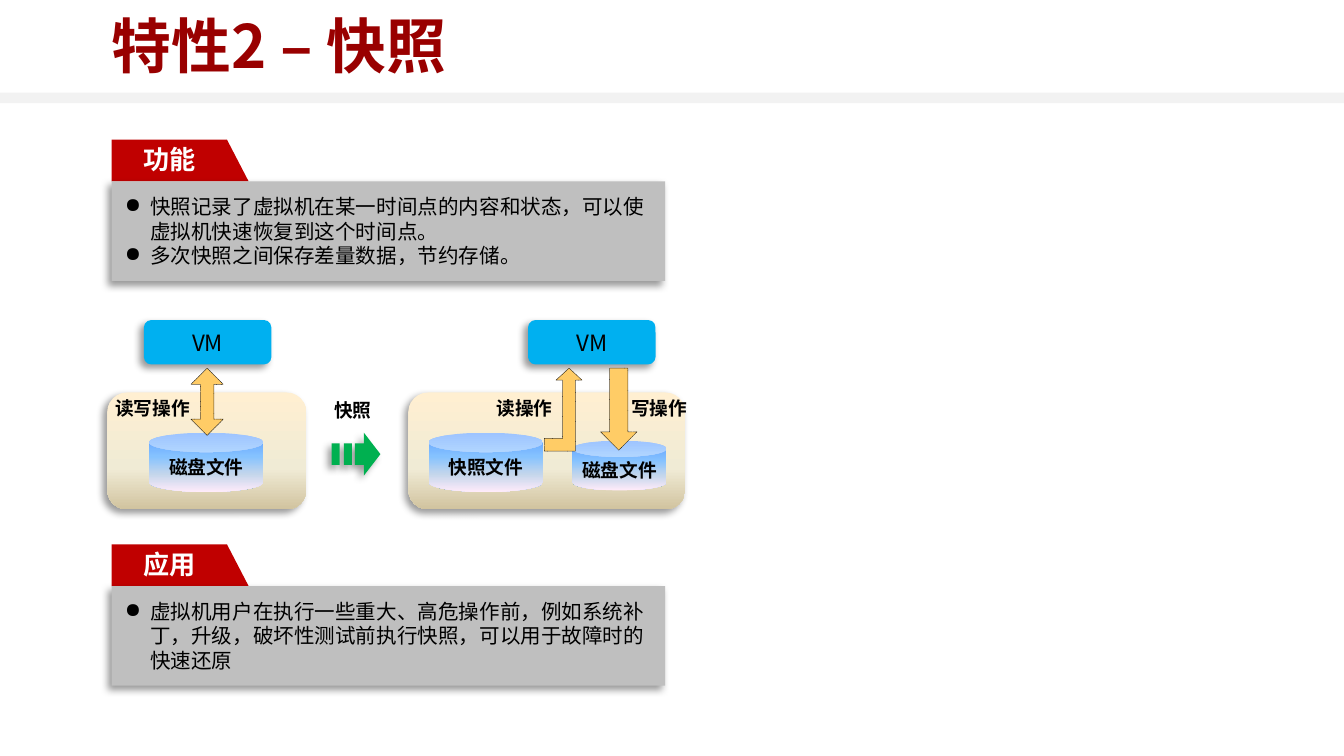
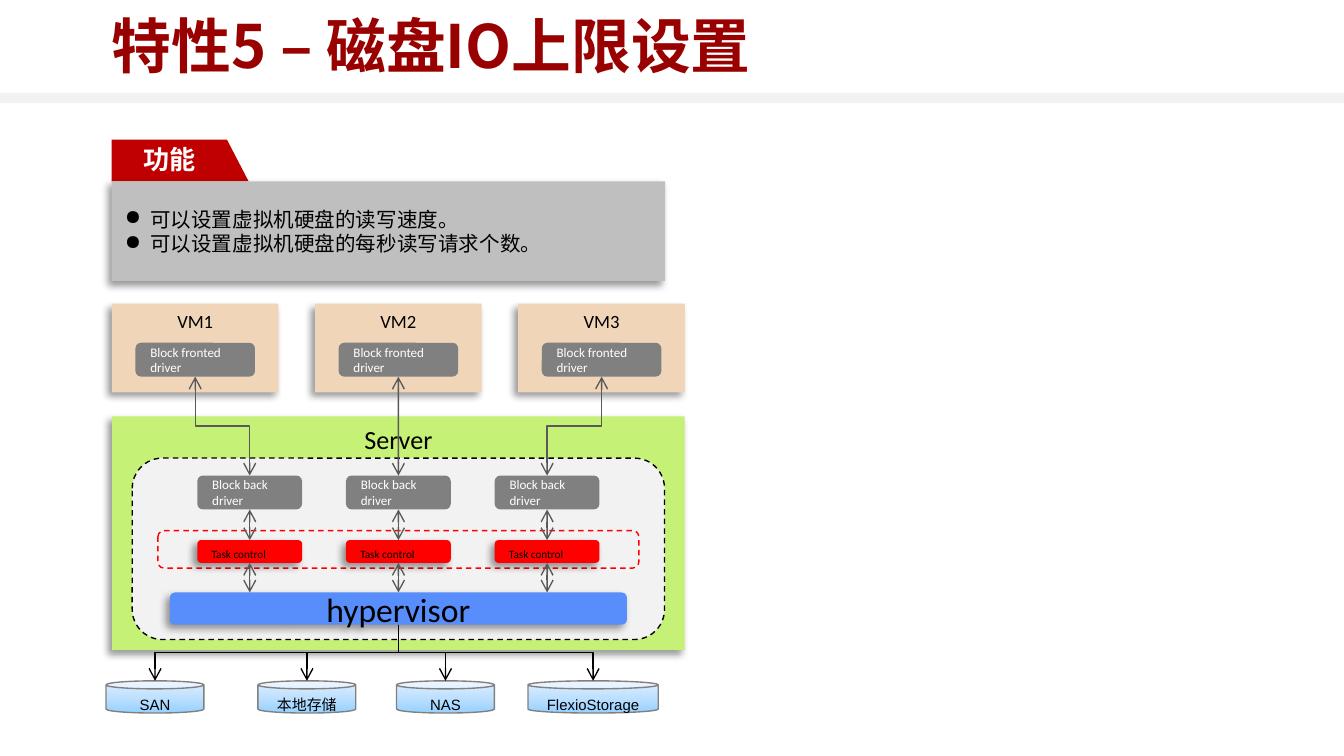
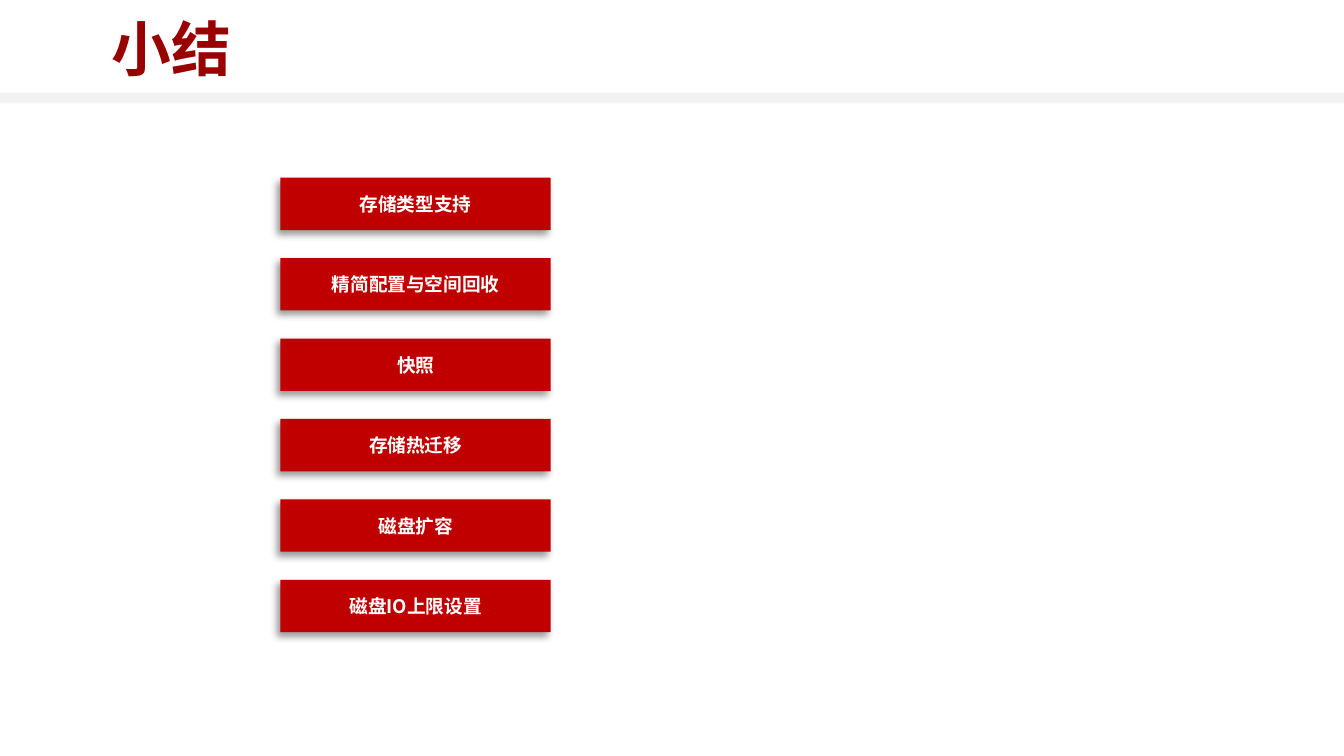
from dataclasses import dataclass

from lxml import etree
from pptx import Presentation
from pptx import util as u
from pptx.dml.color import RGBColor
from pptx.enum import dml, shapes, text
from pptx.oxml.ns import qn

Cm, Pt = u.Cm, u.Pt
KIND = shapes.MSO_SHAPE
TOP, MIDDLE, BOTTOM = text.MSO_ANCHOR.TOP, text.MSO_ANCHOR.MIDDLE, text.MSO_ANCHOR.BOTTOM
LEFT, CENTER = text.PP_ALIGN.LEFT, text.PP_ALIGN.CENTER
DASH, DOT = dml.MSO_LINE.DASH, dml.MSO_LINE.ROUND_DOT


@dataclass(frozen=True)
class Theme:
    # Fonts
    cjk: str = "Noto Sans CJK SC"
    latin: str = "Calibri"
    plain: str = "Arial"
    # Type sizes
    title_pt: int = 32
    heading_pt: int = 14
    body_pt: int = 11
    vm_pt: int = 12
    label_pt: int = 10
    hypervisor_pt: int = 18
    storage_pt: int = 8
    driver_pt: int = 7
    task_pt: int = 6
    # Colours
    black: str = "000000"
    white: str = "FFFFFF"
    title: str = "990000"
    red: str = "C00000"
    panel: str = "BFBFBF"
    light: str = "F2F2F2"
    vm: str = "00B0F0"
    flow: str = "FFCC66"
    step: str = "00B050"
    guest: str = "F1D5B9"
    server: str = "C5F177"
    driver: str = "808080"
    task: str = "FF0000"
    hypervisor: str = "578EFB"
    arrow: str = "595959"
    # Gradients: clockwise angle, then (position, colour) stops
    host: tuple = (90, (0, "FFEFD1"), (65, "F0EBD5"), (100, "D1C39F"))
    disk: tuple = (90, (0, "5E9EFF"), (40, "85C2FF"), (70, "C4D6EB"), (100, "FFEBFA"))
    storage: tuple = (270, (0, "96D0FF"), (50, "BFE1FF"), (100, "E0EFFF"))


T = Theme()
MARGIN = 2.11    # left edge of the content, cm
CENTRE = 7.53    # axis of the server diagram, cm


def rgb(value):
    return RGBColor.from_string(value)


def add_xml(parent, tag, **attrs):
    return etree.SubElement(parent, qn(tag), {k: str(v) for k, v in attrs.items()})


# ---- Text ----
def add_run(p, content, size, color=T.black, font=T.cjk, bold=False):
    r = p.add_run()
    r.text = content
    r.font.size, r.font.bold, r.font.name = Pt(size), bold, font
    r.font.color.rgb = rgb(color)
    add_xml(r._r.get_or_add_rPr(), "a:ea", typeface=T.cjk)


def write(sp, lines, size, align=CENTER, anchor=MIDDLE, **style):
    tf = sp.text_frame
    tf.word_wrap, tf.vertical_anchor = True, anchor
    for i, line in enumerate(lines):
        p = tf.add_paragraph() if i else tf.paragraphs[0]
        p.alignment = align
        add_run(p, line, size, **style)
    return tf


def label(s, x, y, w, content, align=LEFT):
    sp = s.shapes.add_textbox(Cm(x), Cm(y), Cm(w), Cm(0.69))
    tf = write(sp, [content], T.label_pt, align, TOP, bold=True)
    tf.auto_size = text.MSO_AUTO_SIZE.SHAPE_TO_FIT_TEXT


# ---- Shapes ----
def fill_gradient(sp, angle, *stops):
    sp.fill.gradient()
    sp.fill.gradient_angle = 360 - angle
    gs_list = sp._element.spPr.find(".//" + qn("a:gsLst"))
    for gs in list(gs_list):
        gs_list.remove(gs)
    for pos, color in stops:
        add_xml(add_xml(gs_list, "a:gs", pos=pos * 1000), "a:srgbClr", val=color)


def add_shadow(sp):
    effects = sp._element.spPr.find(qn("a:effectLst"))
    shadow = add_xml(effects, "a:outerShdw", blurRad=Pt(4), dist=Pt(3), dir=135 * 60000,
                     algn="tr", rotWithShape=0)
    add_xml(add_xml(shadow, "a:srgbClr", val=T.black), "a:alpha", val=40000)


def box(s, kind, x, y, w, h, fill, line=None, width=0.75, dash=None, shadow=False, adj=()):
    sp = s.shapes.add_shape(kind, Cm(x), Cm(y), Cm(w), Cm(h))
    if isinstance(fill, tuple):
        fill_gradient(sp, *fill)
    else:
        sp.fill.solid()
        sp.fill.fore_color.rgb = rgb(fill)
    if line:
        sp.line.color.rgb, sp.line.width = rgb(line), Pt(width)
        if dash:
            sp.line.dash_style = dash
    else:
        sp.line.fill.background()
    sp.shadow.inherit = False
    if shadow:
        add_shadow(sp)
    for i, value in enumerate(adj):
        sp.adjustments[i] = value
    return sp


def centred(s, kind, cx, y, w, h, fill, **look):
    return box(s, kind, cx - w / 2, y, w, h, fill, **look)


# ---- Connectors ----
def style_connector(c, color, two_way):
    c.line.color.rgb, c.line.width = rgb(color), Pt(0.75)
    ln = c.line._get_or_add_ln()
    if two_way:
        add_xml(ln, "a:headEnd", type="arrow")
    add_xml(ln, "a:tailEnd", type="arrow")
    add_xml(c._element.spPr, "a:effectLst")


def down_arrow(s, upper, lower, x, joined=True):
    """Two-way vertical arrow from the bottom of one shape to the top of another."""
    c = s.shapes.add_connector(shapes.MSO_CONNECTOR.STRAIGHT, Cm(x), upper.top + upper.height,
                               Cm(x), lower.top)
    c.begin_connect(upper, 2)
    if joined:
        c.end_connect(lower, 0)
    style_connector(c, T.arrow, True)


def elbow_arrow(s, x1, y1, x2, y2, color, two_way=False):
    """Down, across, down: a horizontal elbow turned by a quarter."""
    long, short = y2 - y1, abs(x2 - x1)
    left, top = (x1 + x2 - long) / 2, (y1 + y2 - short) / 2
    start, end = (left + long, left) if x2 > x1 else (left, left + long)
    c = s.shapes.add_connector(shapes.MSO_CONNECTOR.ELBOW, Cm(start), Cm(top),
                               Cm(end), Cm(top + short))
    turn = 270 if x2 > x1 else 90
    c._element.spPr.find(qn("a:xfrm")).set("rot", str(turn * 60000))
    style_connector(c, color, two_way)


# ---- Shared slide parts ----
def add_band(prs, s):
    band = box(s, KIND.RECTANGLE, 0, 1.75, 25.4, 0.2, T.light)
    prs.slide_master.shapes._spTree.append(band._element)


def new_slide(prs, title, top=-0.05):
    s = prs.slides.add_slide(prs.slide_layouts[5])
    sp = s.shapes.title
    sp.left, sp.top, sp.width, sp.height = Cm(MARGIN), Cm(top), Cm(21.21), Cm(1.8)
    tf = write(sp, [title], T.title_pt, LEFT, color=T.title, bold=True)
    tf.auto_size = text.MSO_AUTO_SIZE.NONE
    tf.margin_left, tf.margin_right = 0, Cm(0.23)
    tf.margin_top = tf.margin_bottom = Cm(0.1)
    return s


def section(s, y, heading, bullets):
    # Heading tab
    tab = s.shapes.add_group_shape()
    sp = box(tab, KIND.RECTANGLE, MARGIN, y, 2.18, 0.79, T.red)
    write(sp, [heading], T.heading_pt, anchor=BOTTOM, color=T.white, font=T.plain, bold=True)
    box(tab, KIND.RIGHT_TRIANGLE, MARGIN + 2.18, y, 0.41, 0.79, T.red)
    # Bulleted panel
    sp = box(s, KIND.RECTANGLE, MARGIN, y + 0.79, 10.46, 1.88, T.panel, shadow=True)
    tf = write(sp, bullets, T.body_pt, LEFT)
    for p in tf.paragraphs:
        p.line_spacing = Pt(13)
        pPr = p._p.get_or_add_pPr()
        pPr.set("marL", str(Cm(0.48)))
        pPr.set("indent", str(-Cm(0.48)))
        add_xml(pPr, "a:buChar", char="●")


# ---- Snapshot slide ----
def disk(s, x, y, w, h, name):
    sp = box(s, KIND.CAN, x, y, w, h, T.disk, adj=[0.327])
    write(sp, [name], T.label_pt, bold=True).word_wrap = False


def flow_arrow(s, kind, x, w, h, adj):
    box(s, kind, x, 6.96, w, h, T.flow, line=T.black, width=0.25, dash=DOT, adj=adj)


def host(s, x, w, vm_x):
    box(s, KIND.ROUNDED_RECTANGLE, x, 7.42, w, 2.21, T.host, shadow=True)
    vm = box(s, KIND.ROUNDED_RECTANGLE, vm_x, 6.05, 2.41, 0.84, T.vm, shadow=True)
    write(vm, ["VM"], T.vm_pt)


def snapshot_slide(prs):
    s = new_slide(prs, "特性2 – 快照")
    section(s, 2.64, "功能", ["快照记录了虚拟机在某一时间点的内容和状态，可以使虚拟机快速恢复到这个时间点。",
                            "多次快照之间保存差量数据，节约存储。"])
    section(s, 10.29, "应用", ["虚拟机用户在执行一些重大、高危操作前，例如系统补丁，升级，"
                             "破坏性测试前执行快照，可以用于故障时的快速还原"])
    # Before the snapshot
    host(s, 2.03, 3.76, 2.72)
    disk(s, 2.82, 8.18, 2.16, 1.12, "磁盘文件")
    flow_arrow(s, KIND.UP_DOWN_ARROW, 3.61, 0.61, 1.27, [0.699, 0.417])
    label(s, 1.93, 7.37, 2.26, "读写操作")
    # Snapshot step
    label(s, 5.56, 7.42, 2.21, "快照", CENTER)
    box(s, KIND.RIGHT_ARROW, 6.71, 8.18, 0.48, 0.81, T.step, shadow=True, adj=[0.5, 0.65])
    for x in (6.5, 6.27):
        box(s, KIND.RECTANGLE, x, 8.38, 0.15, 0.41, T.step, shadow=True)
    # After the snapshot
    host(s, 7.72, 5.23, 9.98)
    disk(s, 8.1, 8.18, 2.16, 1.12, "快照文件")
    disk(s, 10.82, 8.33, 1.78, 0.94, "磁盘文件")
    flow_arrow(s, KIND.DOWN_ARROW, 11.35, 0.69, 1.55, [0.5, 0.502])
    flow_arrow(s, KIND.BENT_UP_ARROW, 10.29, 0.71, 1.57, [0.342, 0.345, 0.318])
    label(s, 9.14, 7.37, 1.88, "读操作")
    label(s, 11.68, 7.37, 1.85, "写操作")


# ---- Disk IO slide ----
def driver(s, cx, y, w, name):
    sp = centred(s, KIND.ROUNDED_RECTANGLE, cx, y, w, 0.64, T.driver)
    write(sp, [name, "driver"], T.driver_pt, LEFT, color=T.white, font=T.latin)
    return sp


def disk_io_slide(prs):
    s = new_slide(prs, "特性5 – 磁盘IO上限设置")
    section(s, 2.64, "功能", ["可以设置虚拟机硬盘的读写速度。", "可以设置虚拟机硬盘的每秒读写请求个数。"])
    # Server and its frames
    server = centred(s, KIND.RECTANGLE, CENTRE, 7.87, 10.82, 4.42, T.server, shadow=True)
    write(server, ["Server"], T.heading_pt, anchor=TOP, font=T.latin)
    for y, w, h, line in ((8.66, 10.06, 3.43, T.black), (10.03, 9.09, 0.71, T.task)):
        centred(s, KIND.ROUNDED_RECTANGLE, CENTRE, y, w, h, T.light, line=line, dash=DASH)
    hypervisor = centred(s, KIND.ROUNDED_RECTANGLE, CENTRE, 11.2, 8.64, 0.61, T.hypervisor,
                         shadow=True)
    write(hypervisor, ["hypervisor"], T.hypervisor_pt, font=T.latin)
    # One column per virtual machine
    for i in range(3):
        vm_x, x = CENTRE + (i - 1) * 3.84, CENTRE + (i - 1) * 2.81
        vm = centred(s, KIND.RECTANGLE, vm_x, 5.74, 3.15, 1.68, T.guest, shadow=True)
        write(vm, [f"VM{i + 1}"], T.label_pt, anchor=TOP, font=T.latin)
        front = driver(s, vm_x, 6.48, 2.26, "Block fronted")
        back = driver(s, x, 8.99, 1.98, "Block back")
        task = centred(s, KIND.ROUNDED_RECTANGLE, x, 10.21, 1.98, 0.43, T.task, shadow=True)
        write(task, ["Task control"], T.task_pt, LEFT, TOP, font=T.latin)
        middle = i == 1
        if middle:
            down_arrow(s, front, back, x)
        else:
            elbow_arrow(s, vm_x, 7.12, x, 8.99, T.arrow, two_way=True)
        down_arrow(s, back, task, x)
        down_arrow(s, task, hypervisor, x, joined=middle)
    # Storage back ends
    for name, x, w in (("SAN", 2.93, 1.85), ("本地存储", 5.8, 1.85),
                       ("NAS", 8.42, 1.85), ("FlexioStorage", 11.21, 2.46)):
        can = centred(s, KIND.CAN, x, 12.87, w, 0.61, T.storage, line=T.driver)
        write(can, [name], T.storage_pt, anchor=TOP, font=T.plain)
        elbow_arrow(s, CENTRE, 11.81, x, 12.87, T.black)


# ---- Summary slide ----
def summary_slide(prs):
    s = new_slide(prs, "小结", top=0)
    topics = ["存储类型支持", "精简配置与空间回收", "快照", "存储热迁移", "磁盘扩容", "磁盘IO上限设置"]
    for i, topic in enumerate(topics):
        sp = box(s, KIND.RECTANGLE, 5.3, 3.36 + i * 1.52, 5.11, 0.99, T.red, shadow=True)
        write(sp, [topic], T.label_pt, color=T.white, bold=True)


def main():
    prs = Presentation()
    prs.slide_width, prs.slide_height = Cm(25.4), Cm(14.29)
    snapshot_slide(prs)
    disk_io_slide(prs)
    summary_slide(prs)
    add_band(prs, prs.slides[0])
    prs.save("out.pptx")


if __name__ == "__main__":
    main()
